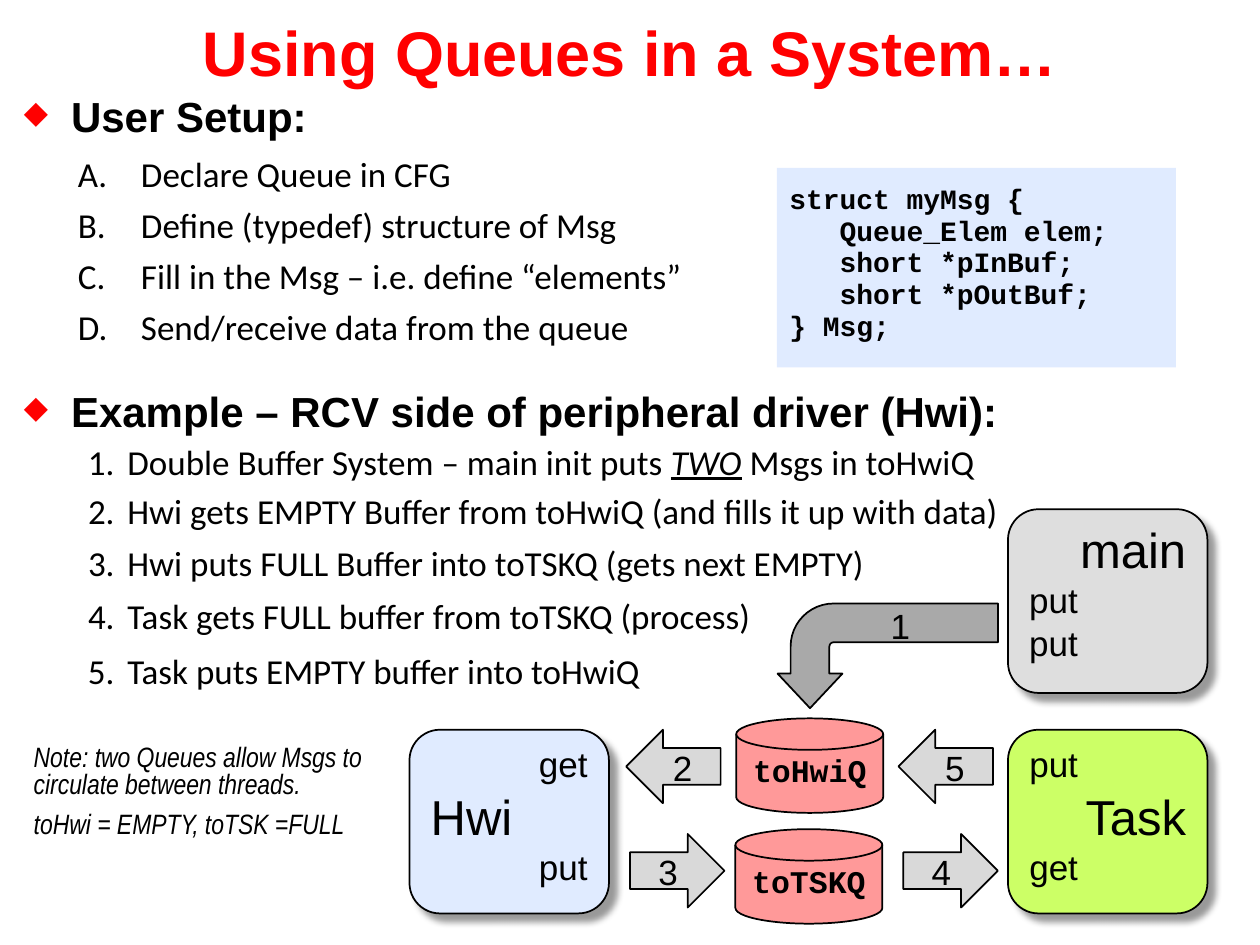
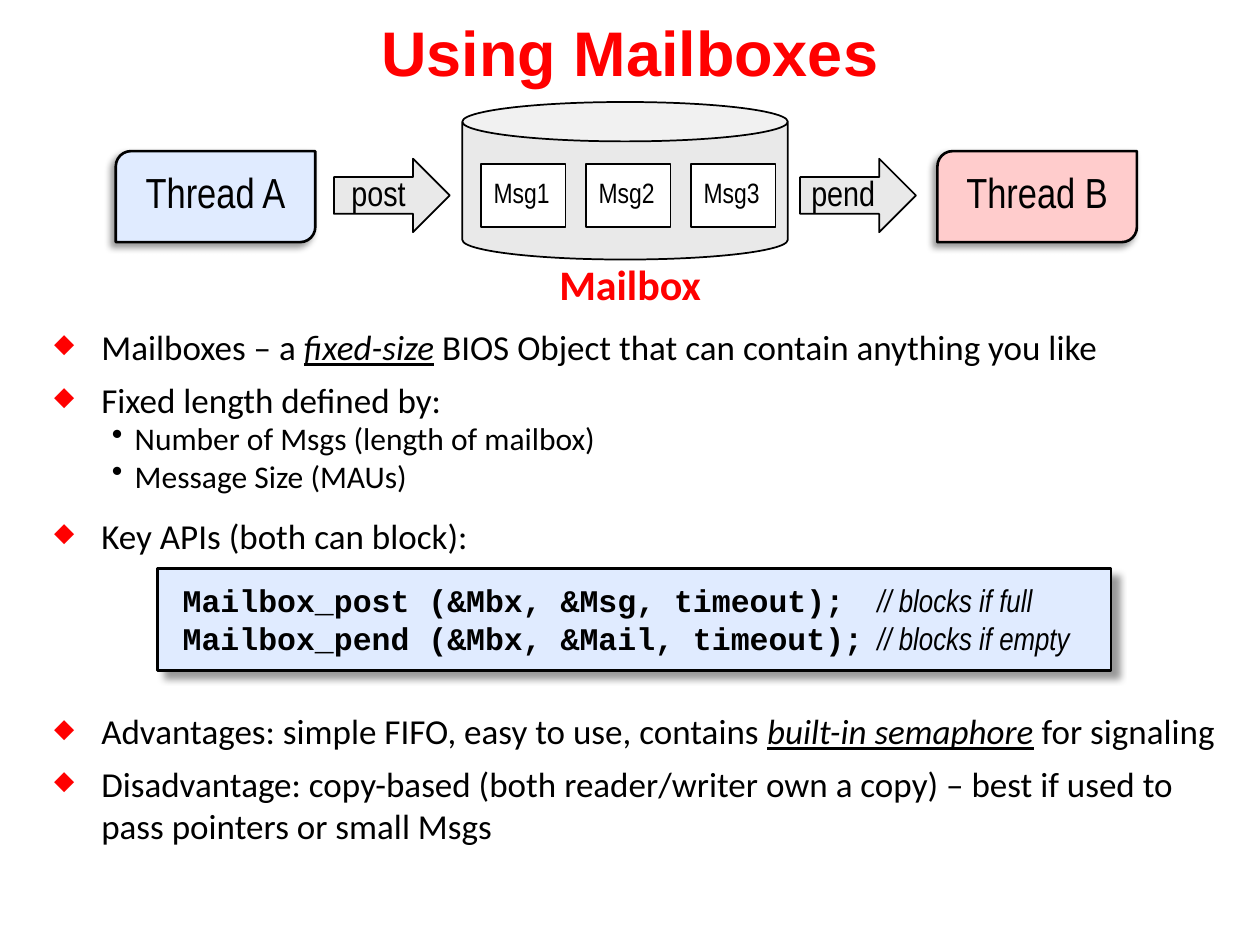
from dataclasses import dataclass, replace
from typing import Optional

from lxml.etree import SubElement
from pptx import Presentation
from pptx.dml.color import RGBColor
from pptx.enum.shapes import MSO_SHAPE as Preset
from pptx.enum.text import MSO_ANCHOR as Anchor, PP_ALIGN as Align
from pptx.oxml.ns import qn
from pptx.util import Pt

RED = RGBColor(0xFF, 0x00, 0x00)
BLACK = RGBColor(0x00, 0x00, 0x00)
WHITE = RGBColor(0xFF, 0xFF, 0xFF)
PALE_BLUE = RGBColor(0xE0, 0xEB, 0xFF)
PINK = RGBColor(0xFF, 0xCC, 0xCC)
SALMON = RGBColor(0xFF, 0x99, 0x99)
LIME = RGBColor(0xCC, 0xFF, 0x66)
MAIN_GREY = RGBColor(0xDE, 0xDE, 0xDE)
ARROW_GREY = RGBColor(0xD9, 0xD9, 0xD9)
BENT_GREY = RGBColor(0xA9, 0xA9, 0xA9)
LIGHT_GREY = RGBColor(0xE9, 0xE9, 0xE9)


@dataclass(frozen=True)
class Style:
    font: str
    size: float
    bold: bool = False
    italic: bool = False
    underline: bool = False
    color: RGBColor = BLACK


@dataclass(frozen=True)
class Bullet:
    tag: str
    value: str
    indent: float
    start: int = 1
    red: bool = False


@dataclass(frozen=True)
class Para:
    text: str
    style: Style
    align: Align = Align.LEFT
    bullet: Optional[Bullet] = None
    accent: Optional[Style] = None
    tab: float = 0


@dataclass(frozen=True)
class Shadow:
    distance: float
    angle: int


@dataclass(frozen=True)
class Box:
    left: float
    top: float
    width: float
    height: float
    paras: tuple[Para, ...] = ()
    preset: Optional[Preset] = None
    fill: Optional[RGBColor] = None
    line: float = 0
    shadow: Optional[Shadow] = None
    anchor: Anchor = Anchor.MIDDLE
    wrap: bool = True
    spacing: float = 1
    gap: Optional[float] = None
    inset: tuple[float, float] = (7.2, 3.6)


TITLE = Style("Arial", 36, bold=True, color=RED)
HEADING = Style("Arial", 24, bold=True)
BODY = Style("Calibri", 20)
BODY_ACCENT = replace(BODY, italic=True, underline=True)
SUB_BODY = Style("Calibri", 18)
STRUCT_CODE = Style("Courier New", 16, bold=True)
CODE = Style("Courier New", 18, bold=True)
COMMENT = Style("Arial Narrow", 18, italic=True)
NOTE = Style("Arial Narrow", 16, italic=True)
CALL = Style("Arial", 20)
OWNER = Style("Arial", 28)
THREAD = Style("Arial Narrow", 24)
VERB = Style("Arial Narrow", 20)
MESSAGE = Style("Arial Narrow", 16)
MAILBOX = Style("Calibri", 24, bold=True, color=RED)

DIAMOND = Bullet("a:buChar", "◆", 27, red=True)
DOT = Bullet("a:buChar", "•", 13)
LETTER = Bullet("a:buAutoNum", "alphaUcPeriod", 36)
NUMBER = Bullet("a:buAutoNum", "arabicPeriod", 22.5)

FAR_SHADOW = Shadow(6, 45)
NEAR_SHADOW = Shadow(3, 135)


def add_bullet(paragraph, bullet: Bullet) -> None:
    props = paragraph._p.get_or_add_pPr()
    props.set("marL", str(Pt(bullet.indent)))
    props.set("indent", str(-Pt(bullet.indent)))
    if bullet.red:
        color = SubElement(props, qn("a:buClr"))
        SubElement(color, qn("a:srgbClr"), val=str(RED))
        SubElement(props, qn("a:buSzPct"), val="75000")
    if bullet.tag == "a:buChar":
        SubElement(props, qn(bullet.tag), char=bullet.value)
    else:
        SubElement(props, qn(bullet.tag), type=bullet.value, startAt=str(bullet.start))


def add_tab(paragraph, position: float) -> None:
    tabs = SubElement(paragraph._p.get_or_add_pPr(), qn("a:tabLst"))
    SubElement(tabs, qn("a:tab"), pos=str(Pt(position)), algn="l")


def add_shadow(shape, shadow: Shadow) -> None:
    effects = shape.element.spPr.find(qn("a:effectLst"))
    outer = SubElement(effects, qn("a:outerShdw"), blurRad=str(Pt(4)),
                       dist=str(Pt(shadow.distance)), dir=str(shadow.angle * 60000),
                       algn="ctr", rotWithShape="0")
    color = SubElement(outer, qn("a:srgbClr"), val=str(BLACK))
    SubElement(color, qn("a:alpha"), val="40000")


def apply_style(run, style: Style) -> None:
    font = run.font
    font.name, font.size = style.font, Pt(style.size)
    font.bold, font.italic, font.underline = style.bold, style.italic, style.underline
    font.color.rgb = style.color


def write_para(paragraph, para: Para) -> None:
    if para.bullet:
        add_bullet(paragraph, para.bullet)
    if para.tab:
        add_tab(paragraph, para.tab)
    first, *others = para.text.split("|")
    paragraph.text = first
    for part in others:
        paragraph.add_run().text = part
    for index, run in enumerate(paragraph.runs):
        apply_style(run, para.accent if para.accent and index % 2 else para.style)
    paragraph.alignment = para.align


def draw(slide, box: Box):
    frame_at = [Pt(v) for v in (box.left, box.top, box.width, box.height)]
    if box.preset is None:
        shape = slide.shapes.add_textbox(*frame_at)
    else:
        shape = slide.shapes.add_shape(box.preset, *frame_at)
        shape.shadow.inherit = False
        shape.fill.solid()
        shape.fill.fore_color.rgb = box.fill
        if box.line:
            shape.line.color.rgb = BLACK
            shape.line.width = Pt(box.line)
        else:
            shape.line.fill.background()
        if box.shadow:
            add_shadow(shape, box.shadow)
    frame = shape.text_frame
    frame.word_wrap = box.wrap
    frame.vertical_anchor = box.anchor
    frame.margin_left = frame.margin_right = Pt(box.inset[0])
    frame.margin_top = frame.margin_bottom = Pt(box.inset[1])
    for index, para in enumerate(box.paras):
        paragraph = frame.add_paragraph() if index else frame.paragraphs[0]
        write_para(paragraph, para)
        paragraph.line_spacing = box.spacing
        if index:
            paragraph.space_before = Pt(para.style.size / 2 if box.gap is None else box.gap)
    return shape


def paras(style: Style, *texts: str, align: Align = Align.LEFT,
          bullet: Optional[Bullet] = None, accent: Optional[Style] = None,
          tab: float = 0) -> tuple[Para, ...]:
    return tuple(Para(text, style, align, bullet, accent, tab) for text in texts)


def label(left: float, top: float, width: float, height: float,
          content: tuple[Para, ...], spacing: float = 0.8,
          anchor: Anchor = Anchor.TOP) -> Box:
    return Box(left, top, width, height, content, wrap=False, spacing=spacing,
               anchor=anchor, gap=0 if spacing == 1 else None)


def start_slide(deck, title: str):
    slide = deck.slides.add_slide(deck.slide_layouts[6])
    draw(slide, Box(0, 0, 720, 58.3, paras(TITLE, title, align=Align.CENTER)))
    return slide


def draw_thread_box(slide, left: float, top: float, fill: RGBColor,
                    lines: tuple[Para, ...]) -> None:
    draw(slide, Box(left, top, 114, 105, lines, Preset.ROUNDED_RECTANGLE, fill, 1,
                    FAR_SHADOW, spacing=0.6))


def build_queues(deck) -> None:
    slide = start_slide(deck, "Using Queues in a System…")
    for top, width, heading in (
            (54, 178, "User Setup:"),
            (222.5, 580, "Example – RCV side of peripheral driver (Hwi):")):
        draw(slide, label(6.5, top, width, 30, paras(HEADING, heading, bullet=DIAMOND)))
    draw(slide, label(37.5, 88, 363, 121, paras(
        BODY, "Declare Queue in CFG", "Define (typedef) structure of Msg",
        "Fill in the Msg – i.e. define “elements”",
        "Send/receive data from the queue", bullet=LETTER)))
    draw(slide, Box(444, 96, 228, 114, paras(
        STRUCT_CODE, "struct myMsg {", "   Queue_Elem elem;", "   short *pInBuf;",
        "   short *pOutBuf;", "} Msg;"), Preset.RECTANGLE, PALE_BLUE,
        spacing=0.5, gap=8.5))

    steps = (
        (252.7, 526, "Double Buffer System – main init puts |TWO| Msgs in toHwiQ"),
        (280.8, 544, "Hwi gets EMPTY Buffer from toHwiQ (and fills it up with data)"),
        (310.3, 467, "Hwi puts FULL Buffer into toTSKQ (gets next EMPTY)"),
        (340.6, 397, "Task gets FULL buffer from toTSKQ (process)"),
        (372.2, 333, "Task puts EMPTY buffer into toHwiQ"))
    for number, (top, width, step) in enumerate(steps, 1):
        draw(slide, label(43.2, top, width, 26.6, paras(
            BODY, step, bullet=replace(NUMBER, start=number), accent=BODY_ACCENT)))

    right = Align.RIGHT
    draw_thread_box(slide, 576, 417, LIME, (
        Para("put", CALL), Para("Task", OWNER, right), Para("get", CALL)))
    draw_thread_box(slide, 234, 417, PALE_BLUE, (
        Para("get", CALL, right), Para("Hwi", OWNER), Para("put", CALL, right)))
    draw_thread_box(slide, 576, 291, MAIN_GREY, (
        Para("main", OWNER, right), Para("put", CALL), Para("put", CALL)))

    for left, top, queue in ((420.7, 410.5, "toHwiQ"), (420.2, 473.8, "toTSKQ")):
        draw(slide, Box(left, top, 84, 54, paras(CODE, queue, align=Align.CENTER),
                        Preset.FLOWCHART_MAGNETIC_DISK, SALMON, 1, spacing=0.8))
    for left, top, preset, number in (
            (513.4, 417, Preset.LEFT_ARROW, "5"), (516.2, 476.6, Preset.RIGHT_ARROW, "4"),
            (357.8, 417, Preset.LEFT_ARROW, "2"), (360, 476.6, Preset.RIGHT_ARROW, "3")):
        draw(slide, Box(left, top, 54, 42, paras(CALL, number, align=Align.CENTER),
                        preset, ARROW_GREY, 1, anchor=Anchor.TOP, spacing=0.8))

    first_put = draw(slide, Box(477.4, 311.8, 59.8, 126, preset=Preset.BENT_ARROW,
                                fill=BENT_GREY, line=1))
    for index, value in enumerate((0.37, 0.31, 0.33, 0.41)):
        first_put.adjustments[index] = value
    first_put.rotation = 270
    first_put.element.spPr.get_or_add_xfrm().set("flipH", "1")
    draw(slide, label(501.8, 346.3, 26, 26.6, paras(CALL, "1")))

    draw(slide, label(12.2, 422.6, 207.4, 63.4, paras(
        NOTE, "Note: two Queues allow Msgs to\vcirculate between threads.",
        "toHwi = EMPTY, toTSK =FULL")))


def build_mailboxes(deck) -> None:
    slide = start_slide(deck, "Using Mailboxes")
    for top, width, height, points in (
            (182.2, 636, 61.9,
             ("Mailboxes – a |fixed-size| BIOS Object that can contain anything you like",
              "Fixed length defined by:")),
            (290.2, 636, 31.7, ("Key APIs (both can block):",)),
            (401.8, 678, 85.7,
             ("Advantages: simple FIFO, easy to use, contains |built-in semaphore| for signaling",
              "Disadvantage: copy-based (both reader/writer own a copy) – best if used to "
              "pass pointers or small Msgs"))):
        draw(slide, Box(23.8, top, width, height, paras(
            BODY, *points, bullet=DIAMOND, accent=BODY_ACCENT), gap=6))
    draw(slide, label(56.9, 235.4, 294.5, 51, paras(
        SUB_BODY, "Number of Msgs (length of mailbox)", "Message Size (MAUs)",
        bullet=DOT), 1, Anchor.MIDDLE))
    draw(slide, Box(90, 324.7, 545, 58.3, paras(
        CODE, "Mailbox_post (&Mbx, &Msg, timeout);\t|// blocks if full",
        "Mailbox_pend (&Mbx, &Mail, timeout);\t|// blocks if empty",
        accent=COMMENT, tab=397), Preset.RECTANGLE, PALE_BLUE, 1.5, FAR_SHADOW,
        gap=0, inset=(14.4, 7.2)))

    for left, fill, thread in ((66.2, PALE_BLUE, "Thread A"), (535.7, PINK, "Thread B")):
        draw(slide, Box(left, 86.4, 114, 52, paras(THREAD, thread, align=Align.CENTER),
                        Preset.ROUND_2_DIAG_RECTANGLE, fill, 1.5, NEAR_SHADOW, spacing=0.8))
    for arrow_left, verb_left, verb_width, verb in (
            (190.8, 193.7, 46, "post"), (457.2, 456.5, 51, "pend")):
        draw(slide, Box(arrow_left, 90.7, 66.2, 42, preset=Preset.RIGHT_ARROW,
                        fill=LIGHT_GREY, line=1))
        draw(slide, label(verb_left, 94.3, verb_width, 31.7, paras(VERB, verb),
                          1, Anchor.MIDDLE))
    draw(slide, Box(264.2, 58.3, 186, 90, preset=Preset.CAN, fill=LIGHT_GREY, line=1))
    draw(slide, label(311.8, 149.8, 96.5, 30.2, paras(
        MAILBOX, "Mailbox", align=Align.CENTER), anchor=Anchor.MIDDLE))
    for index in range(3):
        draw(slide, Box(275 + 60 * index, 93.6, 48.2, 36, paras(MESSAGE, f"Msg{index + 1}"),
                        Preset.RECTANGLE, WHITE, 1, spacing=0.8))


def main() -> None:
    deck = Presentation()
    deck.slide_width, deck.slide_height = Pt(720), Pt(540)
    build_queues(deck)
    build_mailboxes(deck)
    deck.save("out.pptx")


if __name__ == "__main__":
    main()
